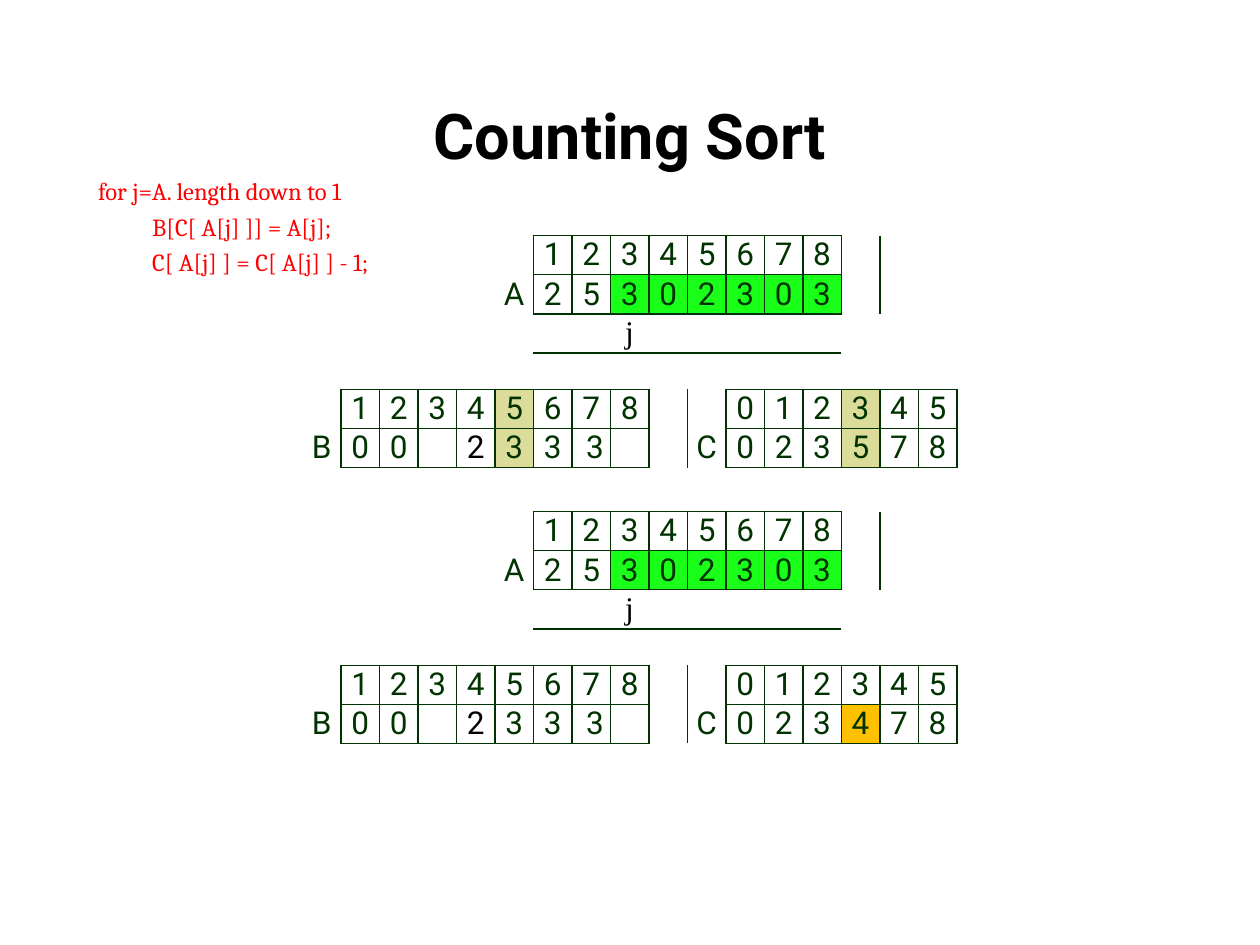
from lxml import etree
from pptx import Presentation
from pptx.dml.color import RGBColor
from pptx.enum.text import MSO_ANCHOR, MSO_AUTO_SIZE, PP_ALIGN
from pptx.oxml.ns import qn
from pptx.util import Inches, Pt

CENTER = PP_ALIGN.CENTER
MIDDLE = MSO_ANCHOR.MIDDLE
GROW = MSO_AUTO_SIZE.SHAPE_TO_FIT_TEXT
PLAIN_TABLE = "{2D5ABB26-0587-4C30-8999-92F81FD0307C}"

INK, BLACK, RED = "003300", "000000", "FF0000"
GREEN, KHAKI, AMBER = "1AFF1A", "DCDC9A", "FFC000"
BORDER_SIDES = "LRTB"
COLUMNS = 17
ROW_HEIGHTS = [0.3, 0.3, 0.29, 0.29, 0.3, 0.3]

# Each strip is (row, first column, values); its cells are boxed.
INDEX = list("12345678")
STRIPS = [
    (0, 6, INDEX),
    (1, 6, list("25302303")),
    (4, 1, INDEX),
    (5, 1, ["0", "0", "", "2", "3", "3", " 3", ""]),
    (4, 11, list("012345")),
]
LABELS = {(1, 5): "A", (2, 8): "j", (5, 0): "B", (5, 10): "C"}
SORTED_PART = {(1, column): GREEN for column in range(8, 14)}
LOOSE_BORDERS = {(row, column): "R" for row, column in [(0, 14), (1, 14), (4, 9), (5, 9)]}
LOOSE_BORDERS.update({(2, column): "B" for column in range(6, 14)})
TEXT_STYLES = {(2, 8): ("Times New Roman", BLACK), (5, 4): ("Roboto", BLACK)}


def color(hex_code):
    return RGBColor.from_string(hex_code)


class SlideBuilder:
    """Places elements by percentages of the slide's width and height."""

    def __init__(self, deck):
        self.deck = deck
        self.page = deck.slides.add_slide(deck.slide_layouts[6])

    def area(self, left, top, width, height):
        across, down = self.deck.slide_width / 100, self.deck.slide_height / 100
        return [round(n) for n in (left * across, top * down, width * across, height * down)]

    def style(self, para, font, size, hex_code, bold=False):
        for span in para.runs:
            span.font.name = font
            span.font.size = Pt(size)
            span.font.bold = bold
            span.font.color.rgb = color(hex_code)

    def title(self, text, area):
        frame = self.page.shapes.add_textbox(*self.area(*area)).text_frame
        frame.word_wrap = True
        frame.vertical_anchor = MIDDLE
        frame.text = text
        para = frame.paragraphs[0]
        para.alignment = CENTER
        self.style(para, "Roboto", 36, BLACK, bold=True)

    def code(self, lines, area):
        """Write (text, indent in inches) pairs as lines of pseudocode."""
        frame = self.page.shapes.add_textbox(*self.area(*area)).text_frame
        frame.word_wrap = True
        frame.auto_size = GROW
        frame.text = "\n".join(text for text, _ in lines)
        for para, (_, indent) in zip(frame.paragraphs, lines):
            para.line_spacing = 1.21
            para._p.get_or_add_pPr().set("marL", str(Inches(indent)))
            self.style(para, "Cambria", 14, RED)

    def borders(self, cell, sides):
        properties = cell._tc.get_or_add_tcPr()
        for side in sides:
            line = etree.SubElement(properties, qn(f"a:ln{side}"), w=str(Pt(1)))
            fill = etree.SubElement(line, qn("a:solidFill"))
            etree.SubElement(fill, qn("a:srgbClr"), val=INK)

    def cell(self, cell, text, sides, fill, font, hex_code):
        cell.margin_left = cell.margin_right = cell.margin_top = Inches(0.01)
        cell.margin_bottom = 0
        self.borders(cell, sides)
        if fill:
            cell.fill.solid()
            cell.fill.fore_color.rgb = color(fill)
        else:
            cell.fill.background()
        cell.text_frame.text = text
        para = cell.text_frame.paragraphs[0]
        para.alignment = CENTER
        self.style(para, font, 18, hex_code)
        if not text:
            # A small end mark keeps an empty cell from stretching its row.
            etree.SubElement(para._p, qn("a:endParaRPr"), sz="1000")

    def arrays(self, area, counts, fills):
        """Draw arrays A, B and C of one step in a single table."""
        table = self.page.shapes.add_table(
            len(ROW_HEIGHTS), COLUMNS, *self.area(*area)).table
        table.first_row = table.horz_banding = False
        table._tbl.tblPr.find(qn("a:tableStyleId")).text = PLAIN_TABLE
        for row, height in zip(table.rows, ROW_HEIGHTS):
            row.height = Inches(height)
        boxed = {(row, first + step): value
                 for row, first, values in STRIPS + [(5, 11, list(counts))]
                 for step, value in enumerate(values)}
        texts = {**LABELS, **boxed}
        fills = {**SORTED_PART, **fills}
        for row in range(len(ROW_HEIGHTS)):
            for column in range(COLUMNS):
                spot = (row, column)
                sides = BORDER_SIDES if spot in boxed else LOOSE_BORDERS.get(spot, "")
                font, hex_code = TEXT_STYLES.get(spot, ("Roboto", INK))
                self.cell(table.cell(row, column), texts.get(spot, ""),
                          sides, fills.get(spot), font, hex_code)


def main():
    deck = Presentation()
    deck.slide_width, deck.slide_height = Inches(10), Inches(7.5)
    slide = SlideBuilder(deck)
    slide.title("Counting Sort", (5, 5.87, 90, 16.67))
    current = {(row, column): KHAKI for row in (4, 5) for column in (5, 14)}
    slide.arrays((24, 24.93, 52, 23.73), "023578", current)
    slide.arrays((24, 54.13, 52, 23.73), "023478", {(5, 14): AMBER})
    slide.code([("for j=A. length down to 1", 0.01),
                ("B[C[ A[j] ]] = A[j];", 0.44),
                ("C[ A[j] ] = C[ A[j] ] - 1;", 0.44)],
               (6.7, 17.33, 84.3, 12.4))
    deck.save("out.pptx")


if __name__ == "__main__":
    main()
